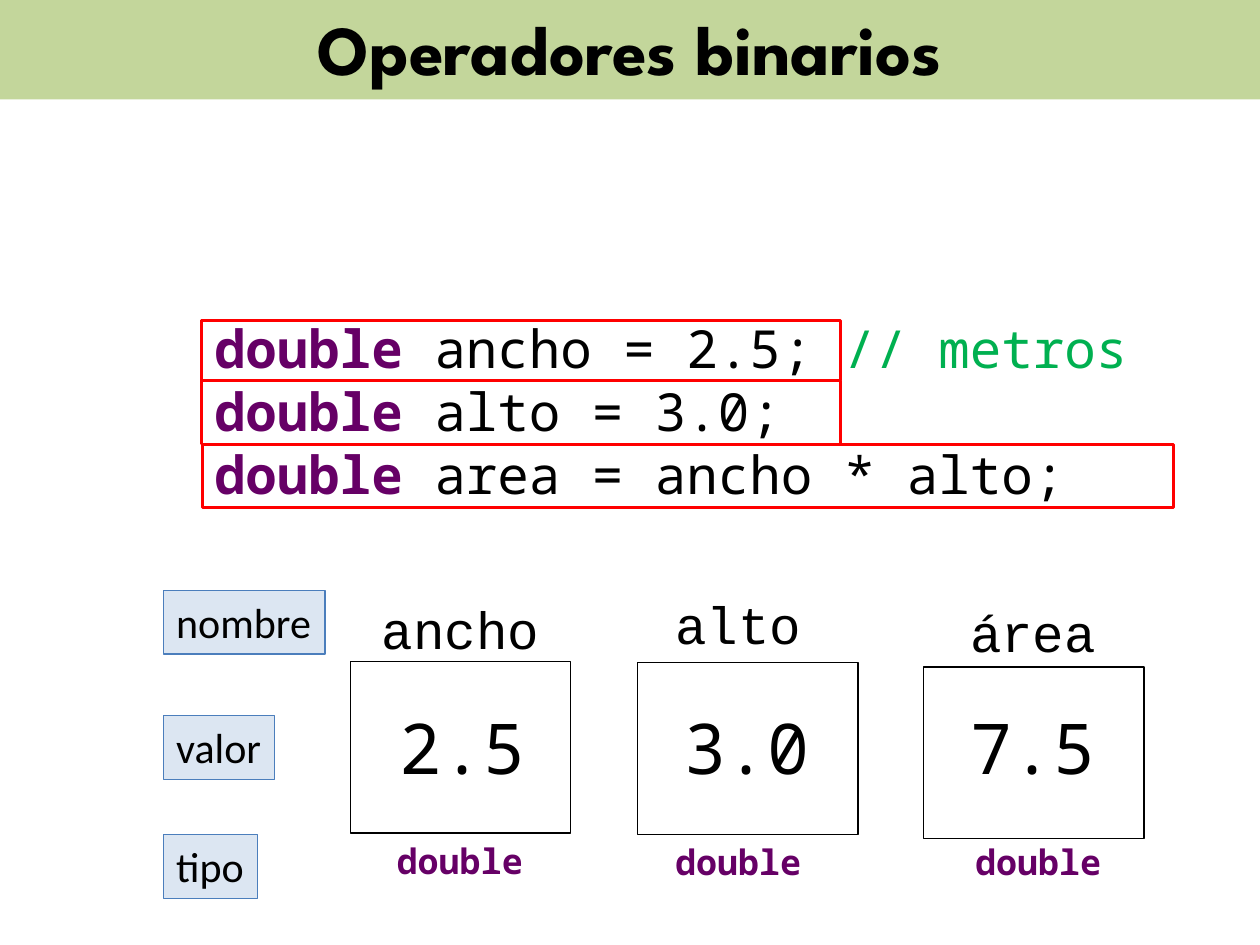
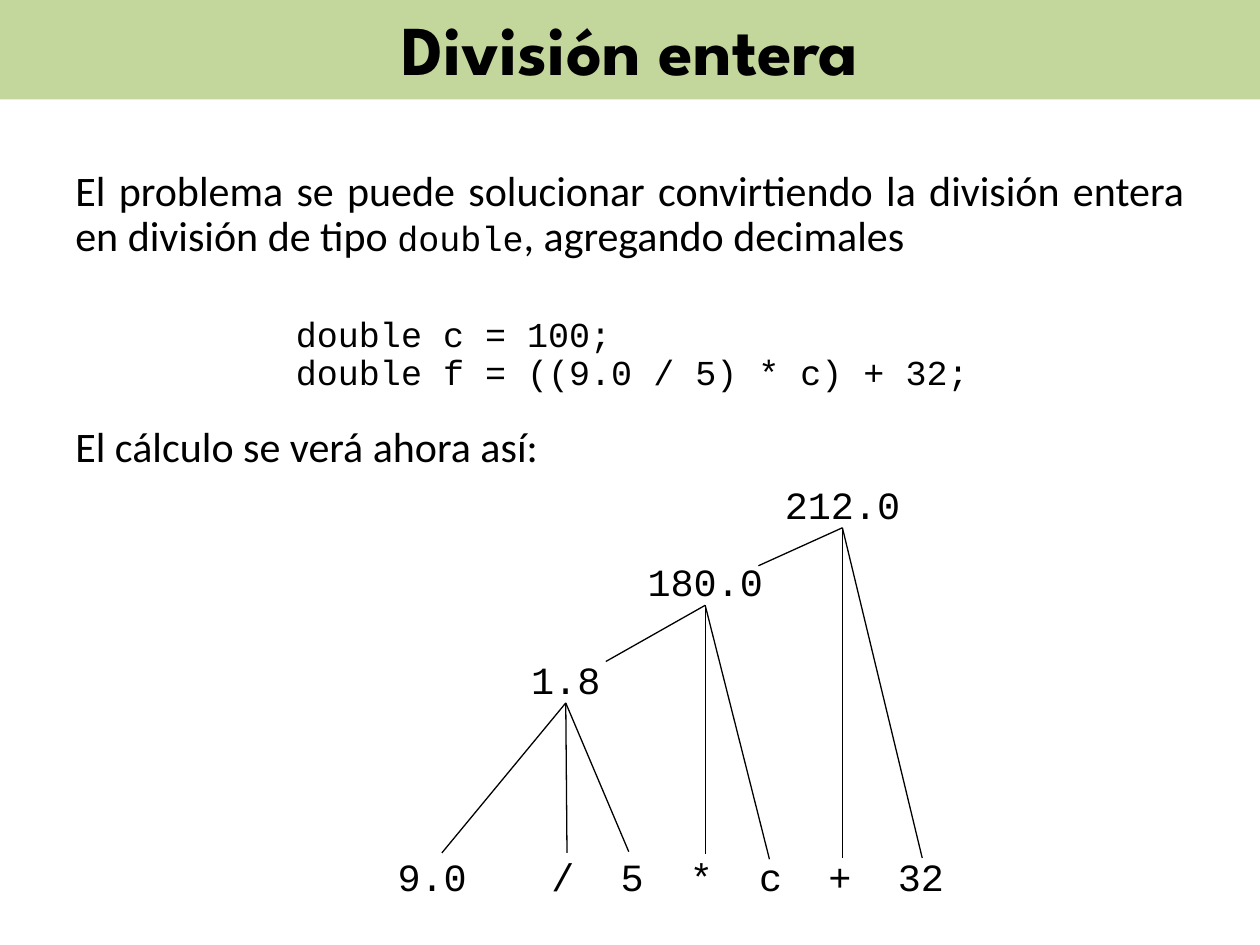
from dataclasses import dataclass
from typing import NamedTuple

import pptx
import pptx.dml.color
import pptx.enum.shapes
import pptx.enum.text
import pptx.oxml
import pptx.oxml.ns
import pptx.util

Pt = pptx.util.Pt
RGBColor = pptx.dml.color.RGBColor
Align = pptx.enum.text.PP_ALIGN
Anchor = pptx.enum.text.MSO_ANCHOR
AutoSize = pptx.enum.text.MSO_AUTO_SIZE


class Box(NamedTuple):
    left: float
    top: float
    width: float
    height: float


class Style(NamedTuple):
    font: str
    size: float
    color: str = "000000"
    bold: bool = False


class Outline(NamedTuple):
    color: str
    width: float


class Run(NamedTuple):
    text: str
    style: Style


@dataclass(frozen=True)
class Theme:
    band: str = "C3D69B"
    white: str = "FFFFFF"
    label_fill: str = "DCE6F2"
    label_line: Outline = Outline("4B7EBC", 0.75)
    thin_line: Outline = Outline("000000", 0.75)
    highlight: Outline = Outline("FF0000", 1.5)
    title: Style = Style("League Spartan", 40, bold=True)
    body: Style = Style("Calibri", 24)
    code: Style = Style("Noto Sans Mono", 30)
    keyword: Style = Style("Noto Sans Mono", 30, "660066", True)
    comment: Style = Style("Noto Sans Mono", 30, "00B050")
    variable_name: Style = Style("Courier New", 30)
    variable_value: Style = Style("Noto Sans Mono", 40)
    variable_type: Style = Style("Noto Sans Mono", 20, "660066", True)
    listing: Style = Style("Courier New", 20)
    tree: Style = Style("Courier New", 22)


THEME = Theme()
TITLE_BAND = Box(0, -2.2, 720, 59)


@dataclass(frozen=True)
class Variable:
    name: str
    value: str
    name_at: tuple[float, float]
    value_left: float
    type_at: tuple[float, float]
    cell_at: tuple[float, float]


@dataclass(frozen=True)
class TreeNode:
    value: str
    x: float
    top: float
    branch_ends: tuple[tuple[float, float], ...]


VARIABLES = [
    Variable("ancho", "2.5", (211, 337.7), 221, (219.6, 476), (200.2, 378)),
    Variable("alto", "3.0", (378.7, 334.8), 383.8, (378.7, 476.6), (364.3, 378.7)),
    Variable("área", "7.5", (547.2, 339.1), 547.2, (550.1, 476.6), (527.8, 381.2)),
]
FIELD_LABELS = [
    ("nombre", Box(93.6, 337.3, 92.2, 36.4)),
    ("valor", Box(93.6, 409, 63.4, 36.4)),
    ("tipo", Box(93.6, 476.9, 53.6, 36.4)),
]
STATEMENT_FRAMES = [
    Box(115.2, 183.3, 365, 34),
    Box(115.2, 217.3, 365, 36.4),
    Box(115.6, 253.9, 555, 36.2),
]
TREE_NODES = [
    TreeNode("1.8", 323.3, 374.4, ((252.5, 487.4), (324, 487.4), (359.3, 486.7))),
    TreeNode("180.0", 403, 318.6, ((403, 488.2), (346.2, 378), (439.7, 491))),
    TreeNode("212.0", 481.4, 274.3, ((481.4, 490.3), (527, 490.3), (433.4, 323.3))),
]
APEX_DROP = 27.3
OPERAND_TOP = 486.7
CHAR_WIDTH = 13.2


def style_run(r, style: Style) -> None:
    r.font.name = style.font
    r.font.size = Pt(style.size)
    r.font.bold = style.bold
    r.font.color.rgb = RGBColor.from_string(style.color)


def fill_text(sp, paragraphs: list[list[Run]], align=Align.LEFT, wrap=False,
              spacing: float = 1.0) -> None:
    tf = sp.text_frame
    tf.word_wrap = wrap
    tf.auto_size = AutoSize.SHAPE_TO_FIT_TEXT
    tf.vertical_anchor = Anchor.TOP
    for i, runs in enumerate(paragraphs):
        p = tf.add_paragraph() if i else tf.paragraphs[0]
        p.alignment = align
        p.line_spacing = spacing
        for run in runs:
            r = p.add_run()
            r.text = run.text
            style_run(r, run.style)


def add_text(slide, box: Box, paragraphs: list[list[Run]], **options):
    sp = slide.shapes.add_textbox(*map(Pt, box))
    fill_text(sp, paragraphs, **options)
    return sp


def add_rect(slide, box: Box, fill: str | None, outline: Outline):
    sp = slide.shapes.add_shape(pptx.enum.shapes.MSO_SHAPE.RECTANGLE, *map(Pt, box))
    sp.shadow.inherit = False
    if fill:
        sp.fill.solid()
        sp.fill.fore_color.rgb = RGBColor.from_string(fill)
    else:
        sp.fill.background()
    sp.line.color.rgb = RGBColor.from_string(outline.color)
    sp.line.width = Pt(outline.width)
    return sp


def add_line(slide, start: tuple[float, float], end: tuple[float, float]) -> None:
    cxn = slide.shapes.add_connector(
        pptx.enum.shapes.MSO_CONNECTOR.STRAIGHT, *map(Pt, (*start, *end)))
    cxn.line.color.rgb = RGBColor.from_string(THEME.thin_line.color)
    cxn.line.width = Pt(THEME.thin_line.width)
    sp_pr = cxn._element.find(pptx.oxml.ns.qn("p:spPr"))
    sp_pr.append(pptx.oxml.parse_xml(
        f"<a:effectLst {pptx.oxml.ns.nsdecls('a')}/>"))


def add_titled_slide(prs, title: str):
    """Add a title-only slide whose title placeholder is the green band."""
    slide = prs.slides.add_slide(prs.slide_layouts[5])
    sp = slide.shapes.title
    sp.left, sp.top, sp.width, sp.height = map(Pt, TITLE_BAND)
    sp.fill.solid()
    sp.fill.fore_color.rgb = RGBColor.from_string(THEME.band)
    tf = sp.text_frame
    tf.text = title
    tf.auto_size = AutoSize.NONE
    tf.vertical_anchor = Anchor.MIDDLE
    p = tf.paragraphs[0]
    p.alignment = Align.CENTER
    style_run(p.runs[0], THEME.title)
    return slide


def add_variable(slide, variable: Variable) -> None:
    add_rect(slide, Box(*variable.cell_at, 126, 98), THEME.white, THEME.thin_line)
    name_width = 15 + 18 * len(variable.name)
    add_text(slide, Box(*variable.name_at, name_width, 43.9),
             [[Run(variable.name, THEME.variable_name)]])
    add_text(slide, Box(variable.value_left, 398.9, 87, 55.4),
             [[Run(variable.value, THEME.variable_value)]])
    add_text(slide, Box(*variable.type_at, 87, 31.7),
             [[Run("double", THEME.variable_type)]])


def build_binary_operators(prs) -> None:
    slide = add_titled_slide(prs, "Operadores binarios")
    keyword = Run("double ", THEME.keyword)
    add_text(slide, Box(115.2, 177.1, 541.4, 116.6), [
        [keyword, Run("ancho = 2.5; ", THEME.code), Run("// metros", THEME.comment)],
        [keyword, Run("alto = 3.0;", THEME.code)],
        [keyword, Run("area = ancho * alto;", THEME.code)],
    ])
    for variable in VARIABLES:
        add_variable(slide, variable)
    for text, box in FIELD_LABELS:
        sp = add_rect(slide, box, THEME.label_fill, THEME.label_line)
        fill_text(sp, [[Run(text, THEME.body)]])
    for frame in STATEMENT_FRAMES:
        add_rect(slide, frame, None, THEME.highlight)


def add_tree_label(slide, text: str, x: float, top: float) -> None:
    add_text(slide, Box(x - 45, top, 90, 31), [[Run(text, THEME.tree)]],
             align=Align.CENTER, wrap=True, spacing=0.9)


def build_integer_division(prs) -> None:
    slide = add_titled_slide(prs, "División entera")
    passages = [
        (Box(36, 93.6, 648, 59.8), [[
            Run("El problema se puede solucionar convirtiendo la división entera "
                "en división de tipo ", THEME.body),
            Run("double", THEME.listing),
            Run(", agregando decimales", THEME.body)]]),
        (Box(162, 177.8, 422, 51.8), [
            [Run("double c = 100;", THEME.listing)],
            [Run("double f = ((9.0 / 5) * c) + 32;", THEME.listing)]]),
        (Box(36, 239.8, 648, 33.1), [
            [Run("El cálculo se verá ahora así:", THEME.body)]]),
    ]
    for box, paragraphs in passages:
        add_text(slide, box, paragraphs, align=Align.JUSTIFY, wrap=True, spacing=0.9)

    for node in TREE_NODES:
        for end in node.branch_ends:
            add_line(slide, (node.x, node.top + APEX_DROP), end)
        add_tree_label(slide, node.value, node.x, node.top)

    add_tree_label(slide, "9.0", 247, OPERAND_TOP)
    x = 321.6
    for token in ("/", "5", "*", "c", "+", "32"):
        add_tree_label(slide, token, x + (len(token) - 1) * CHAR_WIDTH / 2, OPERAND_TOP)
        x += 3 * CHAR_WIDTH


def main() -> None:
    prs = pptx.Presentation()
    prs.slide_width, prs.slide_height = Pt(720), Pt(540)
    build_binary_operators(prs)
    build_integer_division(prs)
    prs.save("out.pptx")


if __name__ == "__main__":
    main()
